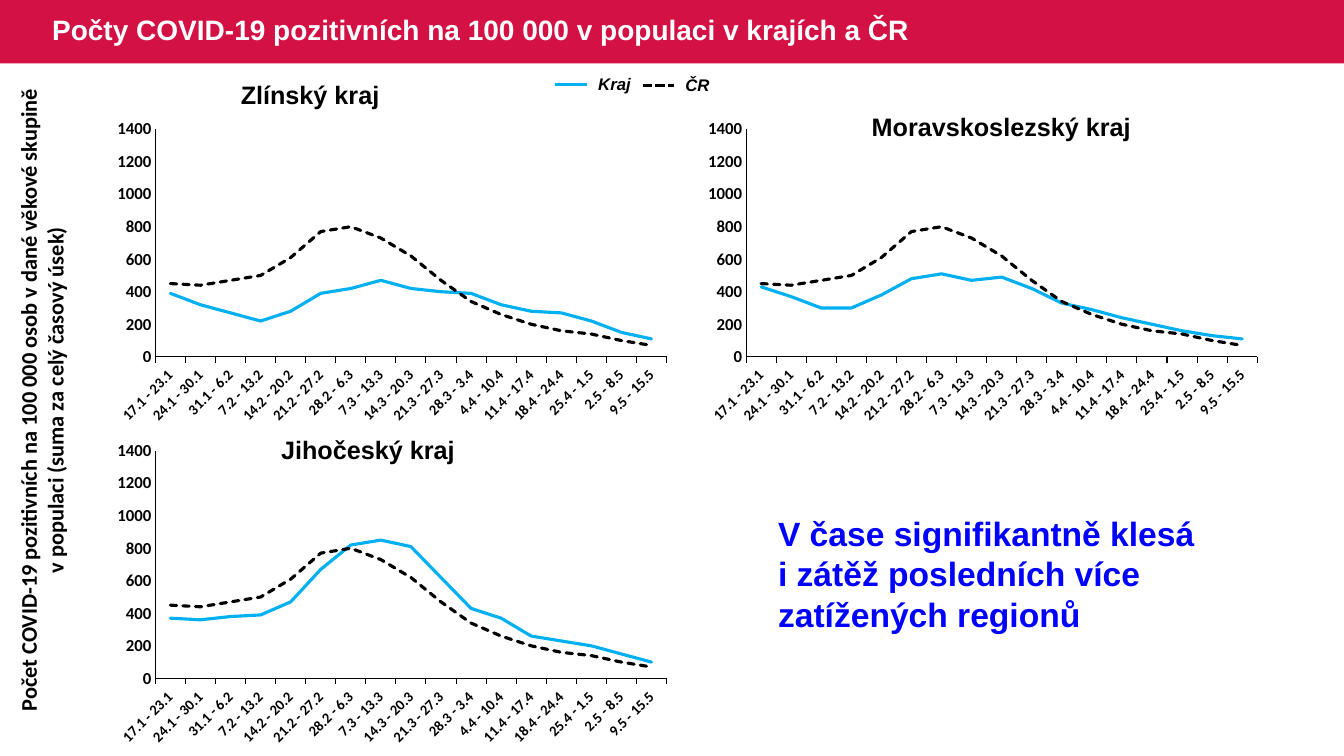
import lxml.etree
import pptx
import pptx.chart.data
import pptx.dml.color
import pptx.enum.chart
import pptx.enum.dml
import pptx.enum.shapes
import pptx.enum.text
import pptx.oxml
import pptx.oxml.ns
import pptx.util

RGB = pptx.dml.color.RGBColor
CRIMSON = RGB(0xD3, 0x11, 0x45)
SKY = RGB(0x00, 0xB0, 0xF0)
GREEN = RGB(0x00, 0xB0, 0x50)
RED = RGB(0xC0, 0x00, 0x00)
AMBER = RGB(0xFF, 0xC0, 0x00)
GREY = RGB(0xA6, 0xA6, 0xA6)
BLUE = RGB(0x00, 0x00, 0xFF)
BLACK = RGB(0x00, 0x00, 0x00)
WHITE = RGB(0xFF, 0xFF, 0xFF)
DASH = pptx.enum.dml.MSO_LINE.SQUARE_DOT
CENTER = pptx.enum.text.PP_ALIGN.CENTER
qn = pptx.oxml.ns.qn

COLS, ROWS = 160, 90
CHART_X, CHART_Y, CHART_W, CHART_H = 12.36, 14.16, 69.72, 36.84
PITCH_X, PITCH_Y = 70.32, 38.28
BAND_H = 7.56
PLOT = {"x": 0.088, "y": 0.033, "w": 0.873, "h": 0.736}
SERIES_COLORS = (SKY, GREEN, RED, AMBER, GREY, BLACK)

WEEKS = ["17.1 - 23.1", "24.1 - 30.1", "31.1 - 6.2", "7.2 - 13.2", "14.2 - 20.2",
         "21.2 - 27.2", "28.2 - 6.3", "7.3 - 13.3", "14.3 - 20.3", "21.3 - 27.3",
         "28.3 - 3.4", "4.4 - 10.4", "11.4 - 17.4", "18.4 - 24.4", "25.4 - 1.5",
         "2.5 - 8.5", "9.5 - 15.5"]
COUNTRY = [450, 440, 470, 500, 610, 770, 800, 730, 620, 470, 340, 260, 200, 160, 140, 100, 70]
NO_DATA = [None] * len(WEEKS)
REGIONS = [
    ("Zlínský kraj", 0, 0, (27.48, 8.8, 19.08, 4.8),
     [390, 320, 270, 220, 280, 390, 420, 470, 420, 400, 390, 320, 280, 270, 220, 150, 110]),
    ("Moravskoslezský kraj", 1, 0, (102.6, 12.72, 33.6, 4.8),
     [430, 370, 300, 300, 380, 480, 510, 470, 490, 420, 330, 290, 240, 200, 160, 130, 110]),
    ("Jihočeský kraj", 0, 1, (32.28, 51.12, 23.28, 4.8),
     [370, 360, 380, 390, 470, 670, 820, 850, 810, 620, 430, 370, 260, 230, 200, 150, 100]),
]
LEGEND = [("Kraj", SKY, None, 66.12, 10.08, 6.36), ("ČR", BLACK, DASH, 76.5, 10.2, 5.28)]


class Deck:
    """Slide builder that places styled elements on a grid of columns and rows."""

    def __init__(self, prs):
        self.prs = prs
        self.s = prs.slides.add_slide(prs.slide_layouts[5])

    def box(self, x, y, w, h):
        dx, dy = self.prs.slide_width / COLS, self.prs.slide_height / ROWS
        return [round(v) for v in (x * dx, y * dy, w * dx, h * dy)]

    def font(self, font, size, color, name="Arial", italic=None):
        font.name, font.size, font.bold = name, pptx.util.Pt(size), True
        font.italic, font.color.rgb = italic, color

    def stroke(self, line, color, width, dash=None):
        line.color.rgb, line.width = color, pptx.util.Pt(width)
        if dash:
            line.dash_style = dash

    def band(self, *at):
        sp = self.s.shapes.add_shape(pptx.enum.shapes.MSO_SHAPE.RECTANGLE, *self.box(*at))
        sp.shadow.inherit = False
        sp.fill.solid()
        sp.fill.fore_color.rgb = CRIMSON
        sp.line.fill.background()
        self.s.shapes._spTree.insert(2, sp._element)

    def title(self, text, *at):
        sp = self.s.shapes.title
        sp.left, sp.top, sp.width, sp.height = self.box(*at)
        tf = sp.text_frame
        tf.auto_size = pptx.enum.text.MSO_AUTO_SIZE.NONE
        tf.vertical_anchor = pptx.enum.text.MSO_ANCHOR.MIDDLE
        p = tf.paragraphs[0]
        p.alignment, p.line_spacing = pptx.enum.text.PP_ALIGN.LEFT, 0.9
        r = p.add_run()
        r.text = text
        self.font(r.font, 20, WHITE)

    def text(self, lines, at, size, color=BLACK, name="Arial", italic=None,
             wrap=False, align=None, rotation=0):
        sp = self.s.shapes.add_textbox(*self.box(*at))
        sp.rotation = rotation
        tf = sp.text_frame
        tf.word_wrap = wrap
        tf.auto_size = pptx.enum.text.MSO_AUTO_SIZE.SHAPE_TO_FIT_TEXT
        for i, line in enumerate(lines):
            p = tf.add_paragraph() if i else tf.paragraphs[0]
            p.alignment = align
            r = p.add_run()
            r.text = line
            self.font(r.font, size, color, name, italic)

    def key(self, label, color, dash, x, y, width):
        left, top, length, _ = self.box(x, y, 3.8, 0)
        sp = self.s.shapes.add_connector(pptx.enum.shapes.MSO_CONNECTOR.STRAIGHT,
                                         left, top, left + length, top)
        self.stroke(sp.line, color, 2.25, dash)
        lxml.etree.SubElement(sp._element.spPr, qn("a:effectLst"))
        self.text([label], (x + 3.92, y - 1.84, width, 3.6), 12, italic=True)

    def chart(self, values, col, row):
        data = pptx.chart.data.CategoryChartData(number_format="###0")
        data.categories = WEEKS
        for i, points in enumerate([values, *[NO_DATA] * 4, COUNTRY], 1):
            data.add_series(f"Series {i}", points)
        at = self.box(CHART_X + col * PITCH_X, CHART_Y + row * PITCH_Y, CHART_W, CHART_H)
        chart = self.s.shapes.add_chart(pptx.enum.chart.XL_CHART_TYPE.LINE, *at, data).chart
        chart.has_title = chart.has_legend = False
        self.font(chart.font, 14, BLACK)
        chart.plots[0].vary_by_categories = False
        for series, color in zip(chart.plots[0].series, SERIES_COLORS):
            series.smooth = False
            self.stroke(series.format.line, color, 2.25, DASH if color == BLACK else None)
            series._element.find(qn("c:spPr")).find(qn("a:ln")).set("cap", "rnd")
        marks = pptx.enum.chart.XL_TICK_MARK
        cat, val = chart.category_axis, chart.value_axis
        for axis, size, mark in ((cat, 10.5, marks.OUTSIDE), (val, 12, marks.NONE)):
            axis.has_major_gridlines = False
            axis.major_tick_mark, axis.minor_tick_mark = mark, marks.NONE
            self.font(axis.tick_labels.font, size, BLACK, "Calibri")
            self.stroke(axis.format.line, BLACK, 0.75)
        cat._element.find(qn("c:txPr")).find(qn("a:bodyPr")).set("rot", "-2700000")
        val.minimum_scale, val.maximum_scale, val.major_unit = 0, 1400, 200
        val.tick_labels.number_format = "###0"
        val.tick_labels.number_format_is_linked = False
        self.plot_layout(chart)

    def plot_layout(self, chart):
        area = chart._chartSpace.find(qn("c:chart")).find(qn("c:plotArea"))
        for old in area.findall(qn("c:layout")):
            area.remove(old)
        modes = '<c:layoutTarget val="inner"/><c:xMode val="edge"/><c:yMode val="edge"/>'
        sizes = "".join(f'<c:{k} val="{v}"/>' for k, v in PLOT.items())
        area.insert(0, pptx.oxml.parse_xml(
            f'<c:layout {pptx.oxml.ns.nsdecls("c")}><c:manualLayout>'
            f"{modes}{sizes}</c:manualLayout></c:layout>"))


def main():
    prs = pptx.Presentation()
    prs.slide_height = pptx.util.Inches(7.5)
    prs.slide_width = prs.slide_height * COLS // ROWS
    deck = Deck(prs)
    deck.band(0, 0, COLS, BAND_H)
    deck.title("Počty COVID-19 pozitivních na 100 000 v populaci v krajích a ČR",
               5, 0, 107.3, BAND_H)
    deck.text(["Počet COVID-19 pozitivních na 100 000 osob v dané věkové skupině "
               "v populaci (suma za celý časový úsek)"],
              (-33.84, 43.8, 77.64, 7.68), 16, name="Calibri",
              wrap=True, align=CENTER, rotation=270)
    for _, col, row, _, values in REGIONS:
        deck.chart(values, col, row)
    for name, _, _, at, _ in REGIONS:
        deck.text([name], at, 18)
    for entry in LEGEND:
        deck.key(*entry)
    deck.text(["V čase signifikantně klesá", "i zátěž posledních více zatížených regionů"],
              (91.44, 60.48, 61.08, 15.72), 24, BLUE, wrap=True)
    prs.save("out.pptx")


if __name__ == "__main__":
    main()
